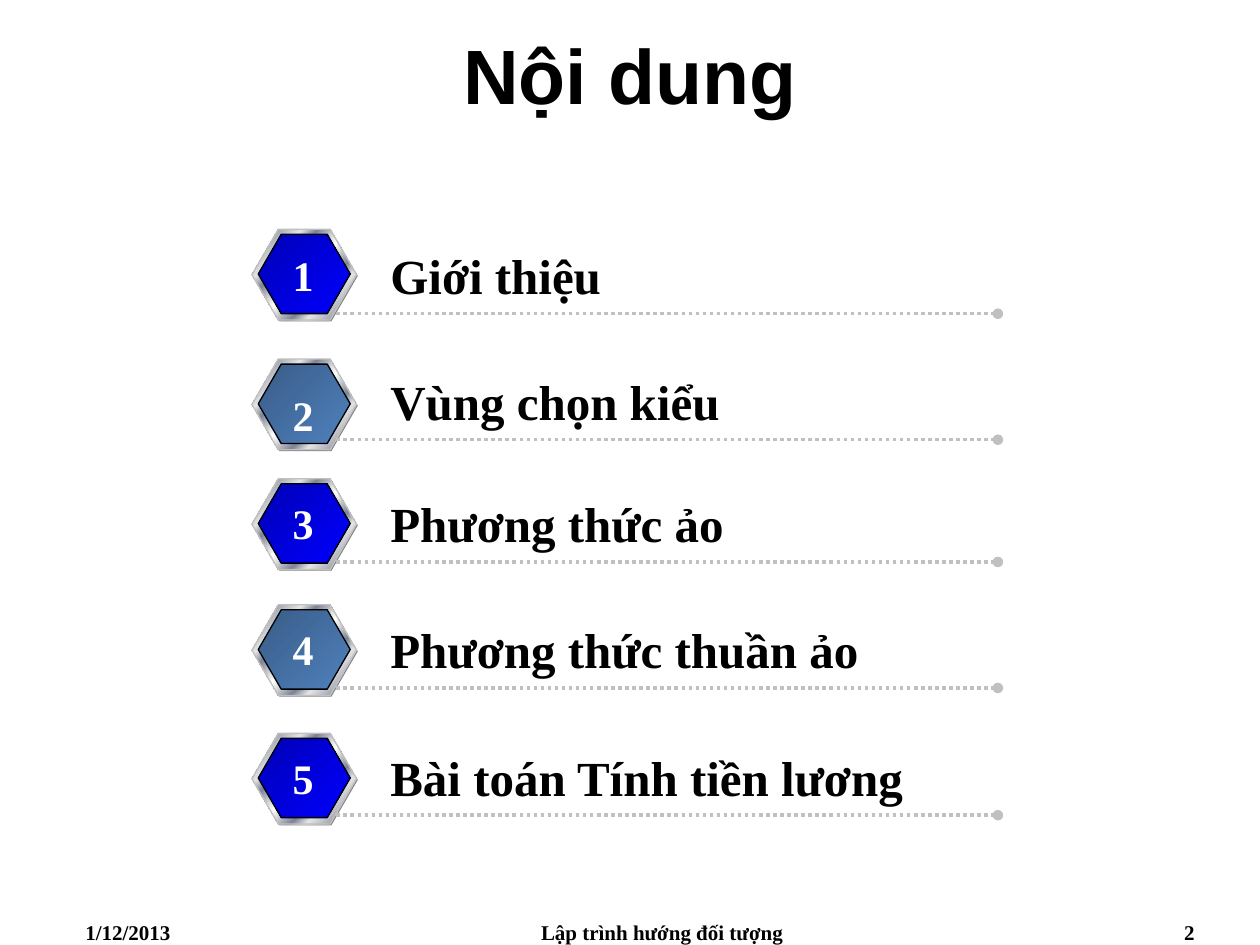
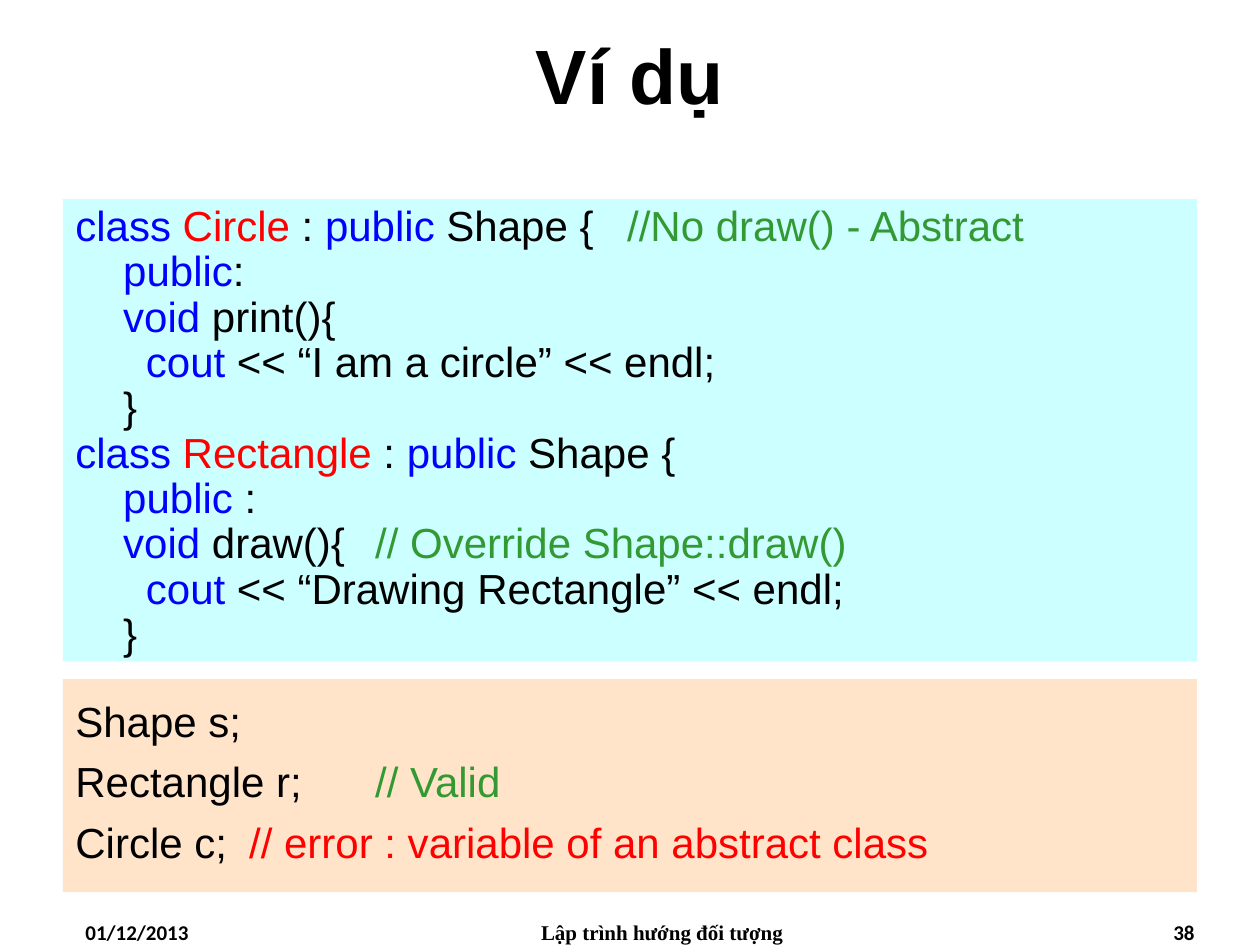
from dataclasses import dataclass

from pptx import Presentation
from pptx.dml.color import RGBColor
from pptx.enum.dml import MSO_LINE
from pptx.enum.shapes import MSO_CONNECTOR, MSO_SHAPE
from pptx.enum.text import MSO_ANCHOR, MSO_AUTO_SIZE, PP_ALIGN
from pptx.oxml.ns import qn
from pptx.util import Inches, Pt
from lxml.etree import SubElement


@dataclass(frozen=True)
class Theme:
    sans: str = "Arial"
    serif: str = "Times New Roman"
    plain: str = "Calibri"
    title_size: int = 44
    label_size: int = 28
    code_size: int = 24
    footer_size: int = 12
    text: str = "000000"
    white: str = "FFFFFF"
    keyword: str = "0000FF"
    accent: str = "FF0000"
    comment: str = "339933"
    code_box: str = "CCFFFF"
    usage_box: str = "FFE4C9"
    silver: str = "C0C0C0"
    shadow: str = "808080"


T = Theme()
WIDTH, HEIGHT = 10, 7.5
MARGIN = WIDTH * 0.05

# Gradients: (position in percent, colour)
LIGHT, STEEL = "E6E6E6", "7D8496"
BEZEL = [(0, LIGHT), (7, STEEL), (26, LIGHT), (34, STEEL), (46, LIGHT), (50, T.white),
         (54, LIGHT), (66, STEEL), (74, LIGHT), (93, STEEL), (100, LIGHT)]
FACES = [[(0, "0000B6"), (100, "0000FF")], [(0, "395C87"), (100, "4F81BD")]]

COURSE = "Lập trình hướng đối tượng"

# Label, top of the hexagon, height of the dotted rule, drop of the number in the hexagon
AGENDA = [
    ("Giới thiệu", 1.82, 2.49, 0.11),
    ("Vùng chọn kiểu", 2.85, 3.49, 0.19),
    ("Phương thức ảo", 3.80, 4.46, 0.10),
    ("Phương thức thuần ảo", 4.80, 5.46, 0.10),
    ("Bài toán Tính tiền lương", 5.82, 6.47, 0.10),
]

# Code lines: indent level, then (text, colour) runs
INDENTS = [(0.38, -0.38), (0.38, 0), (0.56, 0)]  # left margin, first line
K, A, C, N = T.keyword, T.accent, T.comment, T.text
CLASSES = [
    (0, [("class ", K), ("Circle", A), (" : ", N), ("public", K), (" Shape {\t", N),
         ("//No draw() - Abstract", C)]),
    (1, [("public", K), (":", N)]),
    (1, [("void", K), (" print(){", N)]),
    (2, [("cout", K), (" << “I am a circle” << endl;", N)]),
    (1, [("}", N)]),
    (0, [("class ", K), ("Rectangle", A), (" : ", N), ("public", K), (" Shape {", N)]),
    (1, [("public", K), (" :", N)]),
    (1, [("void", K), (" draw(){\t", N), ("// Override Shape::draw()", C)]),
    (2, [("cout", K), (" << “Drawing Rectangle” << endl;", N)]),
    (1, [("}", N)]),
]
USAGE = [
    (0, [("Shape s;", N)]),
    (0, [("Rectangle r;\t", N), ("// Valid", C)]),
    (0, [("Circle c;\t", N), ("// error : variable of an abstract class", A)]),
]
# Lines, top, height, fill, line spacing
CODE_BOXES = [
    (CLASSES, 1.58, 3.67, T.code_box, 0.9),
    (USAGE, 5.39, 1.69, T.usage_box, 1.2),
]


def rgb(value):
    return RGBColor.from_string(value)


def box(*lengths):
    return [Inches(n) for n in lengths]


def write(shape, content, font=T.serif, size=T.footer_size, color=T.text, bold=False,
          align=PP_ALIGN.LEFT, anchor=MSO_ANCHOR.TOP, wrap=True, spacing=None):
    """Fill a shape with one string, or with (indent level, runs) lines."""
    tf = shape.text_frame
    tf.word_wrap = wrap
    tf.auto_size = MSO_AUTO_SIZE.NONE
    tf.vertical_anchor = anchor
    lines = [(None, [(content, color)])] if isinstance(content, str) else content
    for i, (level, runs) in enumerate(lines):
        p = tf.add_paragraph() if i else tf.paragraphs[0]
        p.alignment = align
        if spacing:
            p.line_spacing = spacing
        if level is not None:
            left, first = INDENTS[level]
            pPr = p._p.get_or_add_pPr()
            pPr.set("marL", str(Inches(left)))
            pPr.set("indent", str(Inches(first)))
            pPr.set("defTabSz", str(Inches(1)))
        for text, run_color in runs:
            r = p.add_run()
            r.text = text
            r.font.name, r.font.size, r.font.bold = font, Pt(size), bold
            r.font.color.rgb = rgb(run_color)


def add_text(shapes, at, content, **fmt):
    write(shapes.add_textbox(*box(*at)), content, **fmt)


def fill_gradient(fill, sp, stops):
    fill.gradient()
    fill.gradient_angle = 315
    gs_list = sp._element.spPr.find(qn("a:gradFill")).find(qn("a:gsLst"))
    for gs in list(gs_list):
        gs_list.remove(gs)
    for position, color in stops:
        gs = SubElement(gs_list, qn("a:gs"), pos=str(position * 1000))
        SubElement(gs, qn("a:srgbClr"), val=color)


def add_shape(shapes, kind, at, fill, line=None):
    """Add a preset shape; fill is a colour or a list of gradient stops."""
    sp = shapes.add_shape(kind, *box(*at))
    sp.shadow.inherit = False
    if isinstance(fill, str):
        sp.fill.solid()
        sp.fill.fore_color.rgb = rgb(fill)
    else:
        fill_gradient(sp.fill, sp, fill)
    if line:
        sp.line.color.rgb = rgb(line)
        sp.line.width = Pt(0.75)
    else:
        sp.line.fill.background()
    return sp


def add_hexagon(shapes, at, fill, line=None):
    sp = add_shape(shapes, MSO_SHAPE.HEXAGON, at, fill, line)
    sp.adjustments[0] = 0.29


def add_dotted_rule(shapes, left, right, y):
    rule = shapes.add_connector(MSO_CONNECTOR.STRAIGHT, *box(left, y, right, y))
    rule.line.color.rgb = rgb(T.silver)
    rule.line.width = Pt(2)
    rule.line.dash_style = MSO_LINE.ROUND_DOT
    spPr = rule._element.spPr
    SubElement(spPr.find(qn("a:ln")), qn("a:tailEnd"), type="oval")
    SubElement(spPr, qn("a:effectLst"))


def add_slide(prs, title, date, number, footer_font):
    slide = prs.slides.add_slide(prs.slide_layouts[5])
    heading = slide.shapes.title
    heading.left, heading.top, heading.width, heading.height = box(0, 0, WIDTH, 1.17)
    write(heading, title, font=T.sans, size=T.title_size, bold=True,
          align=PP_ALIGN.CENTER, anchor=MSO_ANCHOR.MIDDLE)
    footers = [
        (0.58, 2.33, date, footer_font, PP_ALIGN.LEFT),
        (3.67, 3.17, COURSE, T.serif, PP_ALIGN.CENTER),
        (7.25, 2.33, number, footer_font, PP_ALIGN.RIGHT),
    ]
    for left, width, text, font, align in footers:
        add_text(slide.shapes, (left, HEIGHT - 0.25, width, 0.25), text,
                 font=font, bold=True, align=align)
    return slide


def add_agenda(slide):
    left, rule_left, label_left, right = 2, 2.67, 3, 7.92
    for i, (label, top, rule_y, drop) in enumerate(AGENDA):
        shapes = slide.shapes.add_group_shape().shapes
        add_hexagon(shapes, (left + 0.01, top + 0.01, 0.83, 0.72), T.shadow)
        add_hexagon(shapes, (left, top, 0.83, 0.72), BEZEL, T.silver)
        add_hexagon(shapes, (left + 0.05, top + 0.04, 0.73, 0.63),
                    FACES[i % len(FACES)], T.text)
        add_dotted_rule(shapes, rule_left, right, rule_y)
        add_text(shapes, (label_left, rule_y - 0.59, right - label_left, 0.57), label,
                 size=T.label_size, bold=True)
        add_text(shapes, (left + 0.22, top + drop, 0.37, 0.5), str(i + 1),
                 size=T.code_size, color=T.white, bold=True,
                 align=PP_ALIGN.CENTER, wrap=False)


def add_code(slide):
    for lines, top, height, fill, spacing in CODE_BOXES:
        sp = add_shape(slide.shapes, MSO_SHAPE.RECTANGLE,
                       (MARGIN, top, WIDTH - 2 * MARGIN, height), fill)
        write(sp, lines, font=T.sans, size=T.code_size, spacing=spacing)


def main():
    prs = Presentation()
    prs.slide_width, prs.slide_height = box(WIDTH, HEIGHT)
    add_agenda(add_slide(prs, "Nội dung", "1/12/2013", "2", T.serif))
    add_code(add_slide(prs, "Ví dụ", "01/12/2013", "38", T.plain))
    prs.save("out.pptx")


if __name__ == "__main__":
    main()
